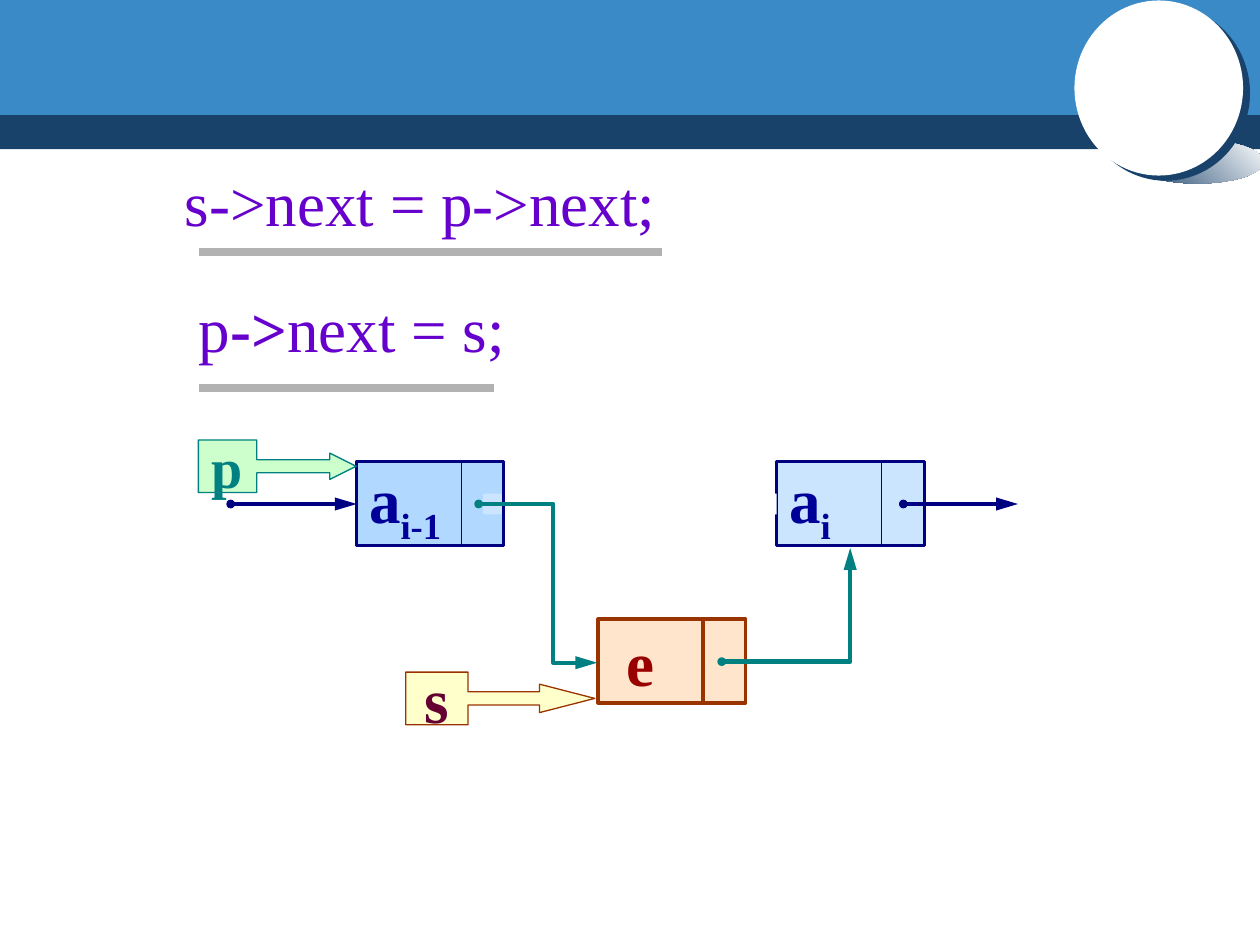
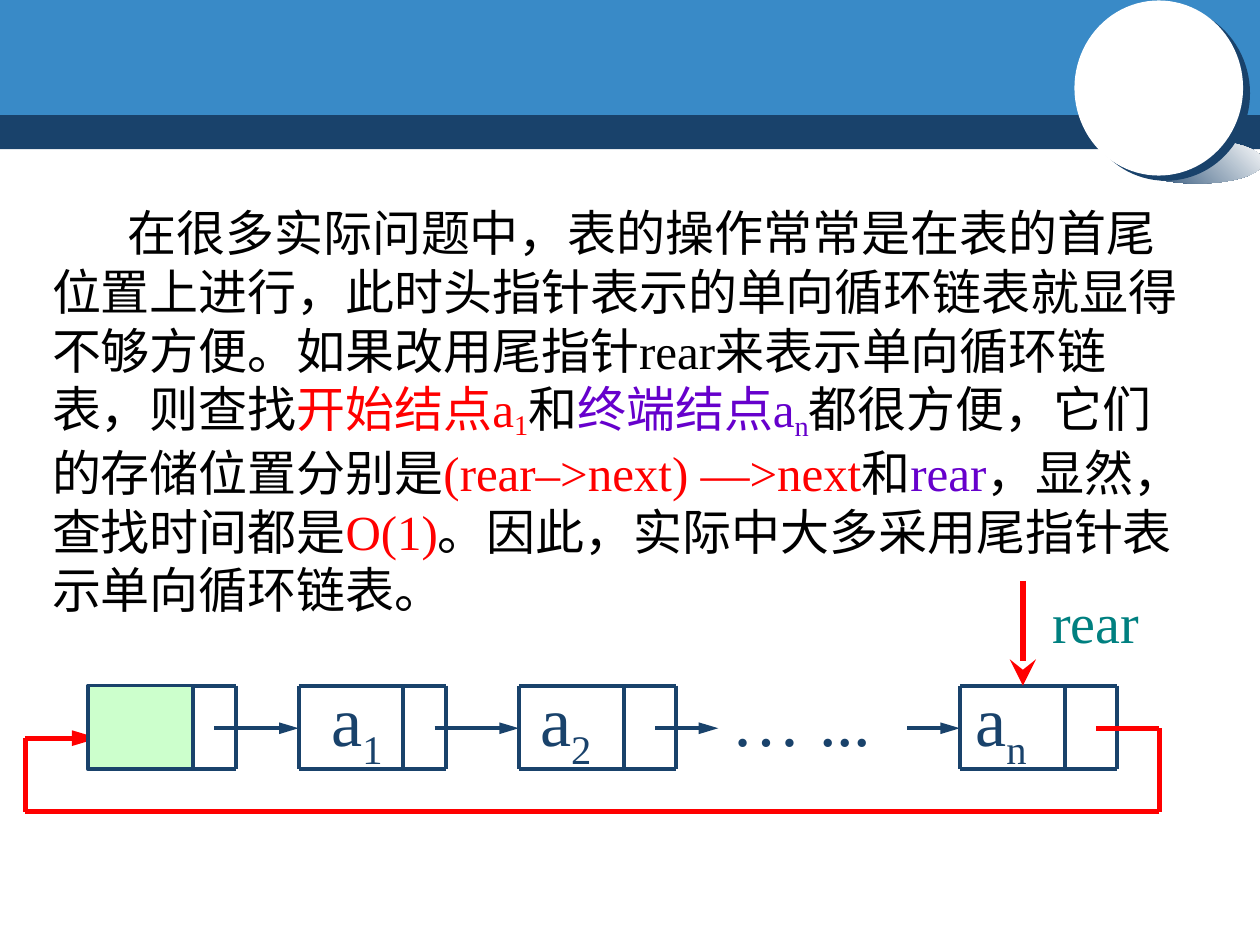
from itertools import pairwise

from lxml import etree
from pptx import Presentation
from pptx.dml.color import RGBColor
from pptx.enum import shapes, text
from pptx.oxml.ns import qn
from pptx.util import Cm, Pt

COLORS = {
    "band": "398AC7", "navy": "19426B", "white": "FFFFFF", "black": "000000",
    "code": "6600CC", "rule": "B2B2B2", "red": "FF0000", "teal": "008080",
    "mint": "CCFFCC", "sky": "99CCFF", "node_line": "000080",
    "divider": "000099", "node_text": "000099",
    "peach": "FFCC99", "brown": "993300", "e_text": "990000",
    "cream": "FFFF99", "s_text": "660033",
}
FONT = "Times New Roman"
SHAPE = shapes.MSO_SHAPE
MIDDLE = text.MSO_ANCHOR.MIDDLE
CELL_WIDTH, NODE_HEIGHT = 2.11, 1.69
TIPS = {"oval": ("sm", "sm"), "triangle": ("med", "lg"), "stealth": ("lg", "lg")}


def rgb(name):
    """Return the named palette colour."""
    return RGBColor.from_string(COLORS[name])


def child(parent, tag, **attributes):
    """Append a DrawingML element and return it."""
    element = etree.SubElement(parent, qn(f"a:{tag}"))
    for key, value in attributes.items():
        element.set(key, str(value))
    return element


def block(slide, kind, box, fill, line=None, width=1.0, opacity=100):
    """Draw a preset shape with a plain fill and outline."""
    shape = slide.shapes.add_shape(kind, *map(Cm, box))
    shape.shadow.inherit = False
    shape.fill.solid()
    shape.fill.fore_color.rgb = rgb(fill)
    if opacity < 100:
        tint = shape.fill._xPr.find(qn("a:solidFill"))[0]
        child(tint, "alpha", val=opacity * 1000)
    if line:
        shape.line.color.rgb = rgb(line)
        shape.line.width = Pt(width)
    else:
        shape.line.fill.background()
    return shape


def write(shape, runs, size, color, bold=False, inset=0.0, center=False,
          anchor=text.MSO_ANCHOR.TOP):
    """Fill a shape with one paragraph of (words, colour, baseline, bold) runs."""
    frame = shape.text_frame
    frame.word_wrap = True
    frame.vertical_anchor = anchor
    frame.margin_left = Cm(inset)
    frame.margin_right = frame.margin_top = frame.margin_bottom = 0
    paragraph = frame.paragraphs[0]
    paragraph.alignment = text.PP_ALIGN.CENTER if center else text.PP_ALIGN.LEFT
    font = paragraph.font
    font.name, font.size, font.bold = FONT, Pt(size), bold
    font.color.rgb = rgb(color)
    for words, run_color, baseline, run_bold in runs:
        run = paragraph.add_run()
        run.text = words
        if run_color:
            run.font.color.rgb = rgb(run_color)
        if run_bold:
            run.font.bold = True
        if baseline:
            run.font._element.set("baseline", str(baseline * 1000))
    return paragraph


def plain(words, color=None, baseline=0, bold=False):
    """Describe one run."""
    return words, color, baseline, bold


def indexed(letter, index):
    """Describe an element name with its subscript."""
    return [plain(letter), plain(index, baseline=-25)]


def caption(slide, box, runs, size, color):
    """Add a free text box."""
    return write(slide.shapes.add_textbox(*map(Cm, box)), runs, size, color)


def link(slide, start, end, color, width, head=None, tail=None, bend=None, turn=None):
    """Draw a straight line, or an elbow of preset bend turning at a given share."""
    route = shapes.MSO_CONNECTOR.ELBOW if bend else shapes.MSO_CONNECTOR.STRAIGHT
    wire = slide.shapes.add_connector(route, *map(Cm, (*start, *end)))
    wire.line.color.rgb = rgb(color)
    wire.line.width = Pt(width)
    outline = wire.line._get_or_add_ln()
    for tag, tip in (("headEnd", head), ("tailEnd", tail)):
        if tip:
            breadth, length = TIPS[tip]
            child(outline, tag, type=tip, w=breadth, len=length)
    properties = wire._element.spPr
    child(properties, "effectLst")
    if bend:
        geometry = properties.find(qn("a:prstGeom"))
        geometry.set("prst", bend)
        if turn:
            guides = geometry.find(qn("a:avLst"))
            child(guides, "gd", name="adj1", fmla=f"val {round(turn * 100000)}")


def filled_node(slide, left, top, fill, line, weight, divider, divider_weight):
    """Draw a tinted node with a data cell and a pointer cell."""
    shape = block(slide, SHAPE.RECTANGLE, (left, top, 2.97, NODE_HEIGHT),
                  fill, line, weight, opacity=50)
    edge = left + CELL_WIDTH
    link(slide, (edge, top), (edge, top + NODE_HEIGHT), divider, divider_weight)
    return shape


def ruled_node(slide, left, top, width):
    """Draw a node without fill as two long rules and three uprights."""
    right, bottom = left + width, top + NODE_HEIGHT
    for y in (top, bottom):
        link(slide, (left, y), (right, y), "navy", 2.25)
    for x in (left, left + CELL_WIDTH, right):
        link(slide, (x, top), (x, bottom), "navy", 2.25)


def pointer(slide, box, name, size, color, fill, line, adjustments, opacity=100):
    """Draw a named pointer as a right arrow callout."""
    shape = block(slide, SHAPE.RIGHT_ARROW_CALLOUT, box, fill, line, 0.75, opacity)
    for index, value in enumerate(adjustments):
        shape.adjustments[index] = value
    write(shape, [plain(name)], size, color, bold=True, center=True, anchor=MIDDLE)


def themed_slide(deck):
    """Add a blank slide with the header bands and the disc."""
    slide = deck.slides.add_slide(deck.slide_layouts[6])
    block(slide, SHAPE.RECTANGLE, (0, 2.13, 25.4, 0.88), "navy")
    block(slide, SHAPE.RECTANGLE, (0, 0, 25.4, 2.32), "band")
    shade = block(slide, SHAPE.OVAL, (22.8, 2.82, 2.67, 0.88), "navy")
    shade.fill.gradient()
    shade.fill.gradient_angle = 45
    for stop, color in zip(shade.fill.gradient_stops, ("navy", "white")):
        stop.color.rgb = rgb(color)
    disc = block(slide, SHAPE.OVAL, (21.66, 0.01, 3.4, 3.53), "white")
    effects = disc._element.spPr.find(qn("a:effectLst"))
    shadow = child(effects, "outerShdw", dist=Pt(5), dir=37 * 60000,
                   algn="ctr", rotWithShape=0)
    child(shadow, "srgbClr", val=COLORS["navy"])
    return slide


def insertion_slide(deck):
    """Show the two statements that insert node e after p."""
    slide = themed_slide(deck)
    inserted = filled_node(slide, 12.06, 12.48, "peach", "brown", 2, "brown", 2)
    write(inserted, [plain("e")], 36, "e_text", True, 0.57, anchor=MIDDLE)

    node_style = ("sky", "node_line", 1.75, "divider", 0.75)
    previous_left, next_left, top = 7.19, 15.66, 9.31
    block(slide, SHAPE.RECTANGLE, (previous_left, top, 2.97, NODE_HEIGHT),
          "sky", "node_line", 1.75, 50)
    following = filled_node(slide, next_left, top, *node_style)
    block(slide, SHAPE.RECTANGLE, (9.74, 9.95, 5.92, 0.42), "white")
    previous = filled_node(slide, previous_left, top, *node_style)
    for element, index in ((previous, "i-1"), (following, "i")):
        write(element, indexed("a", index), 36, "node_text", True, 0.25, anchor=MIDDLE)

    for start, end in ((4.65, 7.19), (18.21, 20.52)):
        link(slide, (start, 10.16), (end, 10.16), "node_line", 2.5, "oval", "triangle")
    link(slide, (9.65, 10.16), (12.04, 13.36), "teal", 2.5, "oval", "triangle",
         "bentConnector3", 0.63)
    link(slide, (14.55, 13.34), (17.14, 11.05), "teal", 2.5, "oval", "triangle",
         "bentConnector2")
    pointer(slide, (8.18, 13.55, 3.81, 1.06), "s", 36, "s_text", "cream", "brown",
            (0.25, 0.27, 1.05, 0.33), 50)
    pointer(slide, (4, 8.87, 3.18, 1.06), "p", 32, "teal", "mint", "teal",
            (0.25, 0.25, 0.5, 0.37))

    for y, end in ((5.08, 13.34), (7.83, 9.95)):
        link(slide, (4.02, y), (end, y), "rule", 4.5)
    caption(slide, (3.73, 3.3, 10.5, 1.5), [plain("s->next = p->next;")], 36, "code")
    caption(slide, (4.01, 5.84, 10.5, 1.5),
            [plain("p"), plain("->", bold=True), plain("next = s;")], 36, "code")


def rear_pointer_slide(deck):
    """Explain the circular list that is reached by its rear pointer."""
    slide = themed_slide(deck)
    explanation = caption(slide, (1.05, 4.08, 22.91, 8.6), [
        plain("在很多实际问题中，表的操作常常是在表的首尾位置上进行，"
              "此时头指针表示的单向循环链表就显得不够方便。"
              "如果改用尾指针rear来表示单向循环链表，则查找"),
        plain("开始结点a", "red"), plain("1", "red", -16), plain("和"),
        plain("终端结点a", "code"), plain("n", "code", -18),
        plain("都很方便，它们的存储位置分别是"),
        plain("(rear–>next) —>next", "red"), plain("和"), plain("rear", "code"),
        plain("，显然，查找时间都是"), plain("O(1)", "red"),
        plain("。因此，实际中大多采用尾指针表示单向循环链表。"),
    ], 28, "black")
    layout = explanation._p.get_or_add_pPr()
    layout.set("indent", str(Cm(1.52)))
    layout.set("hangingPunct", "0")

    top, middle = 13.82, 14.68
    for left, runs in ((6.68, indexed("a", "1")), (10.89, indexed("a", "2")),
                       (14.75, [plain("… ...")]), (19.66, indexed("a", "n"))):
        caption(slide, (left, 13.64, 3.2, 1.8), runs, 40, "navy")
    for left, width in ((1.78, 2.97), (6.02, 2.97), (10.46, 3.17), (19.35, 3.17)):
        ruled_node(slide, left, top, width)
    for start, end in ((4.32, 6.02), (8.76, 10.46), (13.21, 14.48), (18.29, 19.35)):
        link(slide, (start, middle), (end, middle), "navy", 2.25, tail="triangle")

    loop = [(22.1, middle), (23.37, middle), (23.37, 16.36), (0.51, 16.36),
            (0.51, 14.88), (1.98, 14.88)]
    for start, end in pairwise(loop):
        link(slide, start, end, "red", 3, tail="triangle" if end == loop[-1] else None)
    block(slide, SHAPE.RECTANGLE, (1.78, top, CELL_WIDTH, NODE_HEIGHT),
          "mint", "navy", 2.25)

    link(slide, (20.62, 11.71), (20.62, top), "red", 3, tail="stealth")
    caption(slide, (21.21, 11.85, 2.2, 1.3), [plain("rear")], 32, "teal")


def main():
    """Build and save the deck."""
    deck = Presentation()
    deck.slide_width, deck.slide_height = Cm(25.4), Cm(19.05)
    insertion_slide(deck)
    rear_pointer_slide(deck)
    deck.save("out.pptx")


if __name__ == "__main__":
    main()
